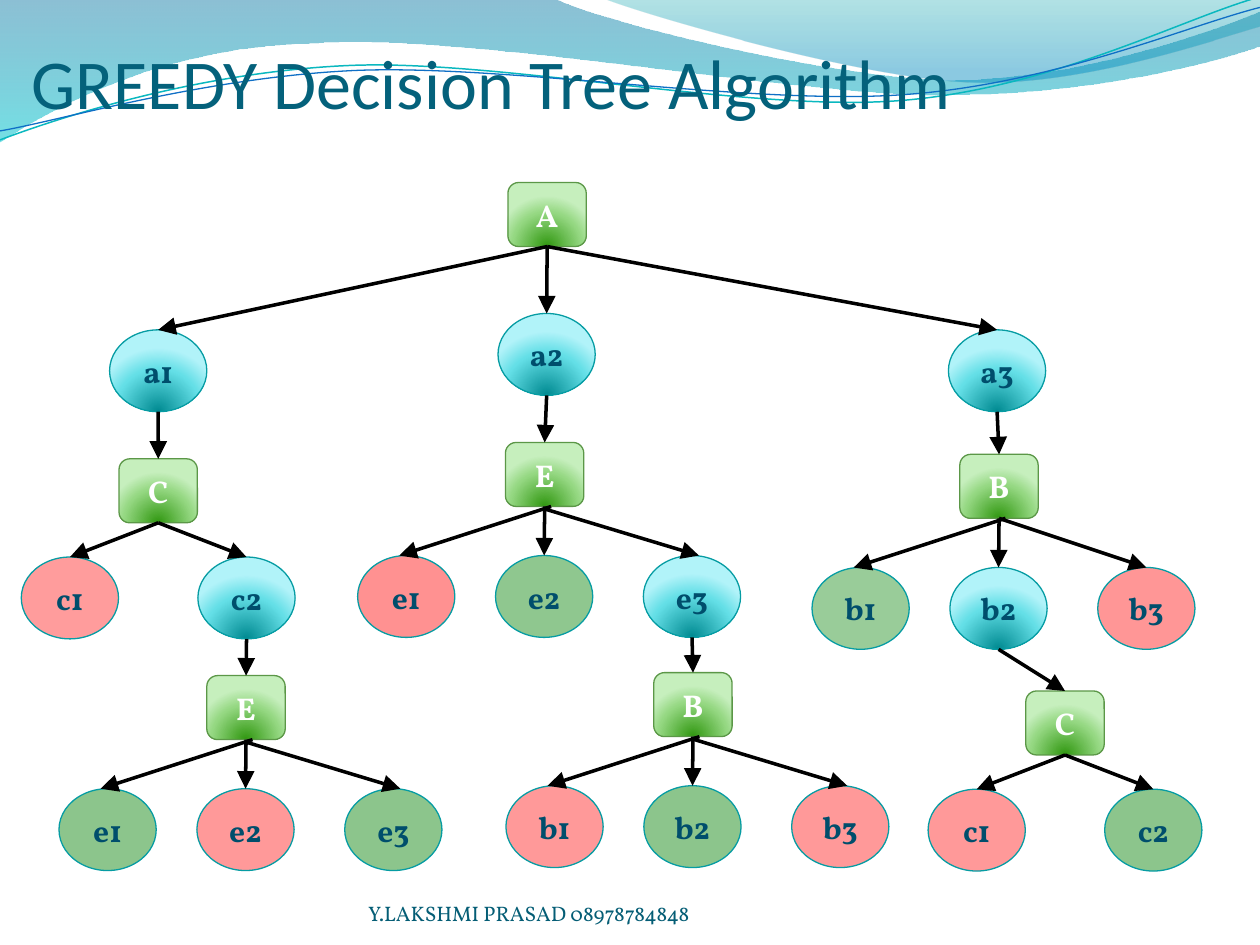
import math
import pptx
import pptx.dml.color
import pptx.enum.shapes
import pptx.enum.text
import pptx.oxml
import pptx.oxml.ns
import pptx.util
from dataclasses import dataclass

Cm = pptx.util.Cm
Pt = pptx.util.Pt
qn = pptx.oxml.ns.qn
SHAPES = pptx.enum.shapes.MSO_SHAPE
ANCHOR = pptx.enum.text.MSO_ANCHOR
ALIGN = pptx.enum.text.PP_ALIGN

TITLE = "GREEDY Decision Tree Algorithm"
FOOTER = "Y.LAKSHMI PRASAD 08978784848"

BOX_WIDTH, BOX_HEIGHT = 1.58, 1.29
CIRCLE_WIDTH, CIRCLE_HEIGHT = 1.96, 1.65
ROOT = [(-7.84, 2.97), (-0.01, 2.64), (9.07, 2.97)]
PAIR = [(-1.78, 1.98), (1.78, 1.98)]
TRIPLE = [(-2.79, 2.28), (-0.01, 2.28), (2.97, 2.28)]
STRAIGHT = [(0, 0, 0)] * 3
HALF_LEANING = [(0.13, 0, -0.14), (0, 0, 0), (0, 0, 0)]
LEANING = [(0.13, 0, -0.14), (0, 0, 0), (0, 0.05, 0.14)]

DECISIONS = [
    ("A", 11.03, 3.68, None, ROOT, STRAIGHT,
     [("a1", "branch", 100), ("a2", "branch", 100), ("a3", "branch", 100)]),
    ("C", 3.19, 9.25, "a1", PAIR, STRAIGHT, [("c1", "no", 39), ("c2", "branch", 100)]),
    ("E", 10.98, 8.92, "a2", TRIPLE, LEANING,
     [("e1", "no", 43), ("e2", "yes", 44), ("e3", "branch", 100)]),
    ("B", 20.14, 9.16, "a3", TRIPLE, HALF_LEANING,
     [("b1", "yes", 40), ("b2", "branch", 100), ("b3", "no", 41)]),
    ("E", 4.96, 13.62, "c2", TRIPLE, LEANING,
     [("e1", "yes", 45), ("e2", "no", 40), ("e3", "yes", 45)]),
    ("B", 13.97, 13.56, "e3", TRIPLE, LEANING,
     [("b1", "no", 40), ("b2", "yes", 45), ("b3", "no", 40)]),
    ("C", 21.47, 13.93, "b2", PAIR, STRAIGHT, [("c1", "no", 40), ("c2", "yes", 45)]),
]


@dataclass(frozen=True)
class Theme:
    title_font: str = "Calibri"
    body_font: str = "Vollkorn"
    title_size: int = 40
    node_size: int = 18
    footer_size: int = 12
    title: str = "04617B"
    footer: str = "045D75"
    box_text: str = "FFFFFF"
    circle_text: str = "004E6C"
    box_line: str = "5B9747"
    circle_line: str = "069CA3"
    arrow: str = "000000"
    yes: str = "008000"
    no: str = "FF0000"
    box_stops: tuple = ((0, "319811", 100), (68, "95D882", 100), (100, "C6EFBD", 100))
    branch_stops: tuple = ((0, "008A91", 100), (68, "64DFE7", 100), (100, "B1F3F9", 100))
    left_wave: tuple = ((0, "0074A1", 45), (100, "00C6CF", 55))
    right_wave: tuple = ((0, "00A1A9", 30), (80, "008BBF", 45))
    wave_lines: tuple = (("0AB8BF", 0.85), ("0F6FC6", 0.75))


THEME = Theme()
GLOW = '<a:path path="circle"><a:fillToRect l="50000" t="130000" r="50000" b="-30000"/></a:path>'
DOWNWARD = '<a:lin ang="5400000" scaled="0"/>'
WAVE_TILT = -2.7

WAVE_BANDS = [
    (THEME.left_wave, (0, 0), [
        [(11.18, -0.03)],
        [(12.09, 0.43), (16.87, 1.6), (19.25, 1.6)],
        [(21.67, 1.6), (24.33, 0.66), (25.4, 0.23)],
        [(25.43, 0.91)],
        [(24.97, 1.12), (22.1, 1.93), (18.95, 1.91)],
        [(15.8, 1.91), (9.7, 0.71), (6.53, 0.86)],
        [(3.28, 0.91), (1.17, 2.11), (-0.03, 2.87)],
        [(0, 0)]]),
    (THEME.right_wave, (12.17, -0.03), [
        [(12.93, 0.28), (17.32, 1.57), (19.53, 1.65)],
        [(21.74, 1.75), (24.41, 0.81), (25.4, 0.53)],
        [(25.4, 0)],
        [(12.17, -0.03)]]),
]
WAVE_LINES = [
    ((12.67, 1.46), (0, 2.82), [
        [(1.22, 2.36), (4.01, 1.45), (7.04, 1.32)],
        [(10.03, 1.19), (15.06, 2.26), (18.11, 2.03)],
        [(21.16, 1.8), (23.83, 0.38), (25.35, -0.05)]]),
    ((12.69, 1.5), (0, 2.64), [
        [(1.19, 2.44), (4.17, 1.55), (7.19, 1.42)],
        [(10.24, 1.3), (15.16, 2.13), (18.21, 1.91)],
        [(21.23, 1.7), (23.9, 0.53), (25.4, 0.15)]]),
]


def rgb(value):
    return pptx.dml.color.RGBColor.from_string(value)


def parse_drawing(tag, content="", **attributes):
    element = pptx.oxml.parse_xml(f"<a:{tag} {pptx.oxml.ns.nsdecls('a')}>{content}</a:{tag}>")
    for name, value in attributes.items():
        element.set(name, str(value))
    return element


def fill_gradient(shape, stops, direction):
    content = "".join(
        f'<a:gs pos="{position * 1000}"><a:srgbClr val="{color}">'
        f'<a:alpha val="{opacity * 1000}"/></a:srgbClr></a:gs>'
        for position, color, opacity in stops)
    geometry = shape._element.spPr[1]
    geometry.addnext(parse_drawing("gradFill", f"<a:gsLst>{content}</a:gsLst>{direction}"))


def fill_solid(shape, color, opacity):
    shape.fill.solid()
    shape.fill.fore_color.rgb = rgb(color)
    color_element = shape._element.spPr.find(".//" + qn("a:srgbClr"))
    color_element.append(parse_drawing("alpha", val=opacity * 1000))


def set_line(shape, color, width):
    shape.line.color.rgb = rgb(color)
    shape.line.width = Pt(width)


def write_text(shape, text, font, size, color, bold=False, align=ALIGN.LEFT, anchor=ANCHOR.BOTTOM):
    frame = shape.text_frame
    frame.text = text
    frame.word_wrap = True
    frame.vertical_anchor = anchor
    paragraph = frame.paragraphs[0]
    paragraph.alignment = align
    paragraph.font.name = font
    paragraph.font.size = Pt(size)
    paragraph.font.bold = bold
    paragraph.font.color.rgb = rgb(color)


def clear_margins(frame, top=0):
    frame.margin_left = frame.margin_right = frame.margin_bottom = 0
    frame.margin_top = Cm(top)


def turn(point, center, degrees):
    angle = math.radians(degrees)
    x, y = point[0] - center[0], point[1] - center[1]
    return (center[0] + x * math.cos(angle) - y * math.sin(angle),
            center[1] + x * math.sin(angle) + y * math.cos(angle))


def add_wave(slide, start, segments, close, center=(0, 0), tilt=0):
    points = [start] + [point for segment in segments for point in segment]
    first, *others = [tuple(map(Cm, turn(point, center, -tilt))) for point in points]
    builder = slide.shapes.build_freeform(*first)
    builder.add_line_segments(others, close=close)
    shape = builder.convert_to_shape()
    shape.shadow.inherit = False
    shape.rotation = tilt
    steps = iter(shape._element.spPr.findall(".//" + qn("a:lnTo")))
    for segment in segments:
        step, *controls = [next(steps) for _ in segment]
        if controls:
            curve = parse_drawing("cubicBezTo")
            step.addprevious(curve)
            for control in (step, *controls):
                curve.append(control[0])
                control.getparent().remove(control)
    return shape


def add_node(slide, preset, label, center, top, width, height, text_color, line_color):
    shape = slide.shapes.add_shape(preset, Cm(center - width / 2), Cm(top), Cm(width), Cm(height))
    shape.shadow.inherit = False
    set_line(shape, line_color, 0.75)
    write_text(shape, label, THEME.body_font, THEME.node_size, text_color,
               True, ALIGN.CENTER, ANCHOR.MIDDLE)
    return shape


def add_arrow(slide, start, end):
    arrow = slide.shapes.add_connector(
        pptx.enum.shapes.MSO_CONNECTOR.STRAIGHT, *map(Cm, (*start, *end)))
    set_line(arrow, THEME.arrow, 2)
    line = arrow._element.spPr.find(qn("a:ln"))
    line.append(parse_drawing("tailEnd", type="triangle", w="lg", len="lg"))
    arrow._element.spPr.append(parse_drawing("effectLst"))


def add_decision(slide, branch_ends, label, center, top, source, offsets, nudges, circles):
    box = add_node(slide, SHAPES.ROUNDED_RECTANGLE, label, center, top, BOX_WIDTH, BOX_HEIGHT,
                   THEME.box_text, THEME.box_line)
    fill_gradient(box, THEME.box_stops, GLOW)
    if source:
        add_arrow(slide, branch_ends[source], (center, top))
    for (name, kind, opacity), (across, down), (start_x, start_y, end_x) in zip(circles, offsets, nudges):
        x, y = center + across, top + down
        circle = add_node(slide, SHAPES.OVAL, name, x, y, CIRCLE_WIDTH, CIRCLE_HEIGHT,
                          THEME.circle_text, THEME.circle_line)
        if kind == "branch":
            fill_gradient(circle, THEME.branch_stops, GLOW)
            branch_ends[name] = (x, y + CIRCLE_HEIGHT)
        else:
            fill_solid(circle, getattr(THEME, kind), opacity)
        add_arrow(slide, (center + start_x, top + BOX_HEIGHT + start_y), (x + end_x, y))


def main():
    presentation = pptx.Presentation()
    presentation.slide_width, presentation.slide_height = Cm(25.4), Cm(19.05)
    slide = presentation.slides.add_slide(presentation.slide_layouts[5])

    for stops, start, segments in WAVE_BANDS:
        band = add_wave(slide, start, segments, True)
        fill_gradient(band, stops, DOWNWARD)
        band.line.fill.background()
    for (color, width), (center, start, segments) in zip(THEME.wave_lines, WAVE_LINES):
        wave = add_wave(slide, start, segments, False, center, WAVE_TILT)
        wave.fill.background()
        set_line(wave, color, width)

    title = slide.shapes.title
    slide.shapes._spTree.append(title._element)
    title.left, title.top, title.width, title.height = map(Cm, (0.64, 0.43, 21.03, 2.06))
    write_text(title, TITLE, THEME.title_font, THEME.title_size, THEME.title)
    title.text_frame.auto_size = pptx.enum.text.MSO_AUTO_SIZE.NONE
    clear_margins(title.text_frame, 0.13)

    branch_ends = {}
    for decision in DECISIONS:
        add_decision(slide, branch_ends, *decision)

    footer = slide.shapes.add_textbox(Cm(7.42), Cm(17.65), Cm(9.32), Cm(1.02))
    write_text(footer, FOOTER, THEME.body_font, THEME.footer_size, THEME.footer)
    clear_margins(footer.text_frame)
    presentation.save("out.pptx")


if __name__ == "__main__":
    main()
